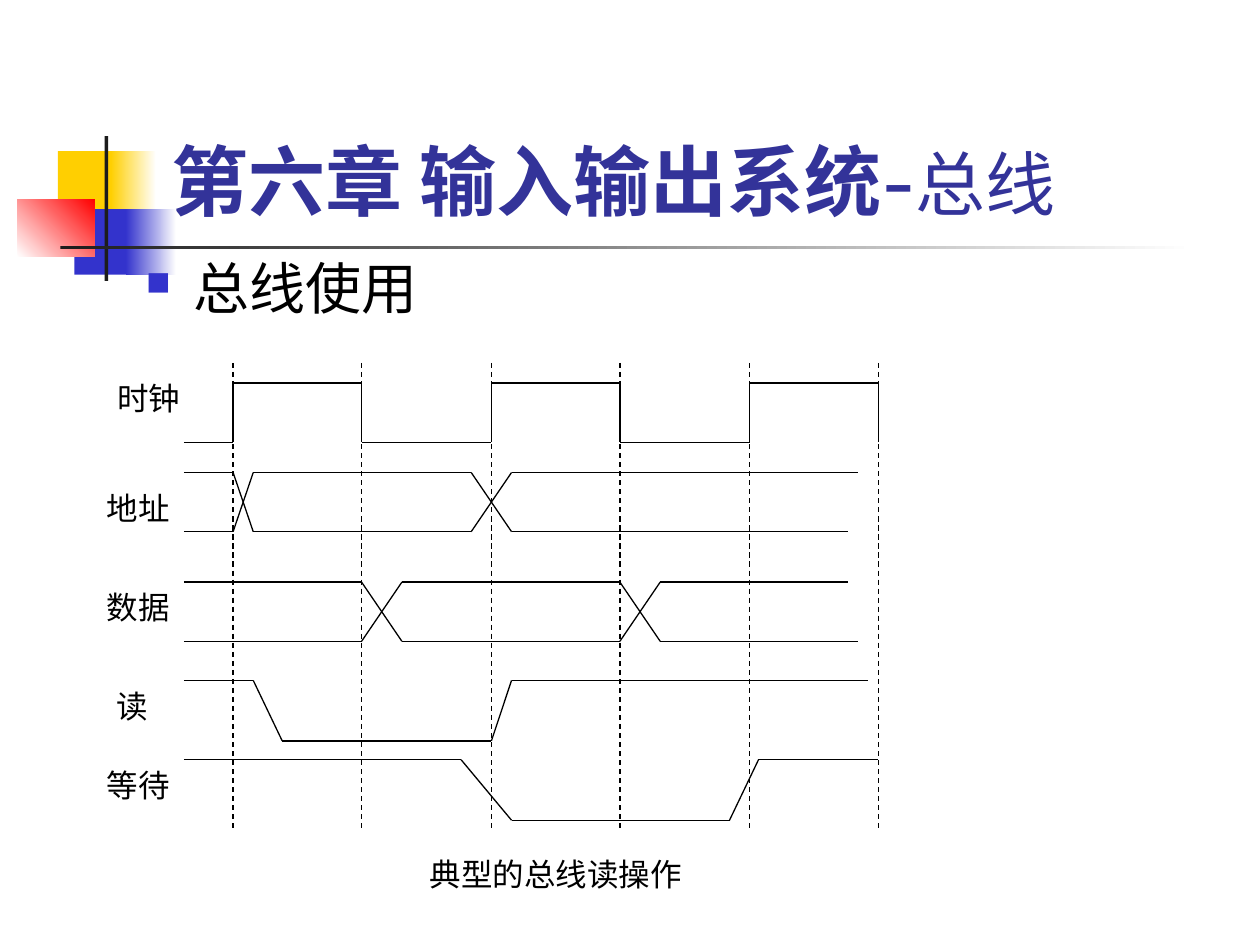
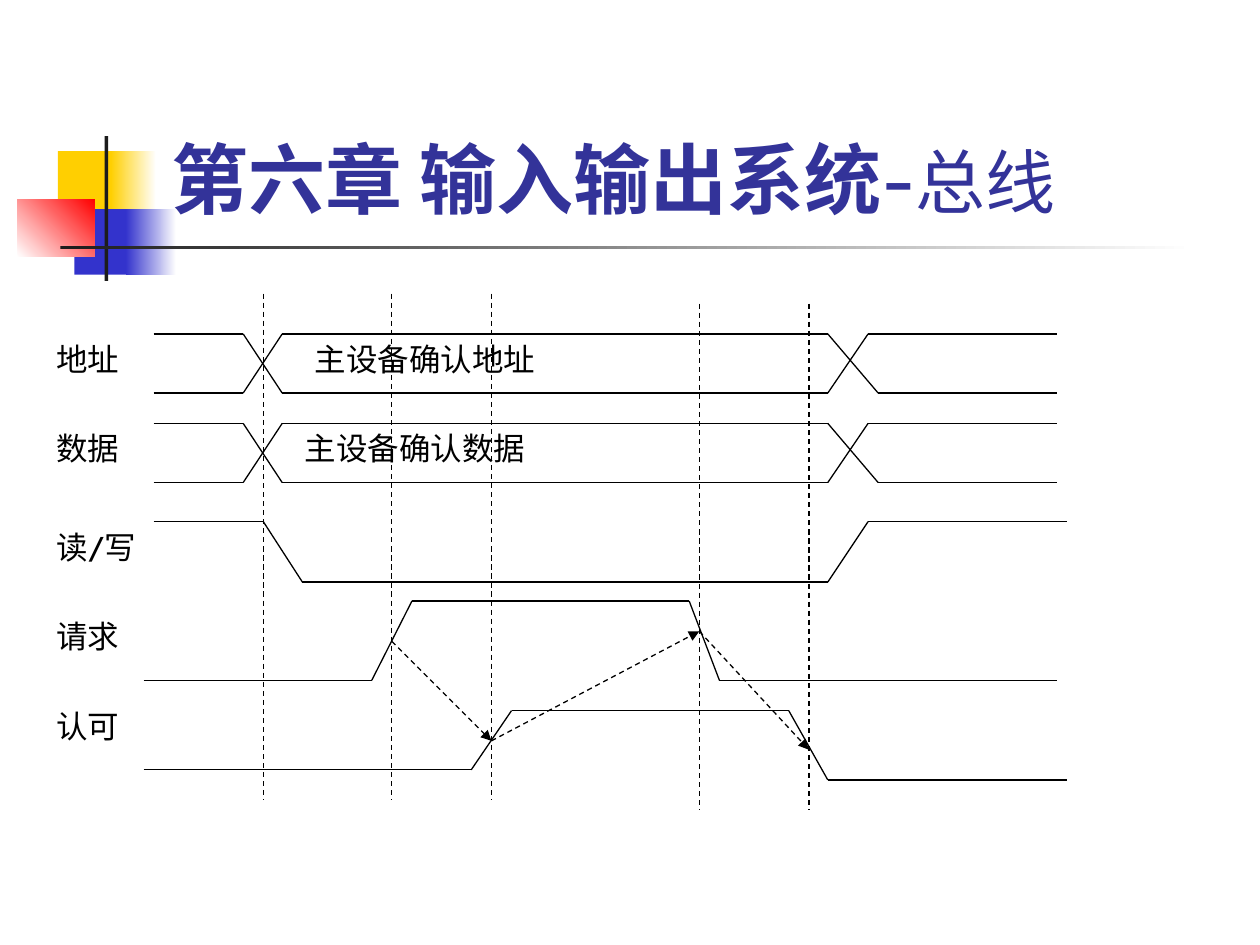
from dataclasses import dataclass
from itertools import pairwise
from typing import NamedTuple

from lxml import etree
from pptx import Presentation
from pptx.dml.color import RGBColor
from pptx.enum.dml import MSO_LINE
from pptx.enum.shapes import MSO_CONNECTOR, MSO_SHAPE
from pptx.enum.text import MSO_ANCHOR, MSO_AUTO_SIZE, PP_ALIGN
from pptx.oxml.ns import qn
from pptx.slide import Slide
from pptx.util import Inches, Pt

STRAIGHT = MSO_CONNECTOR.STRAIGHT
RECTANGLE = MSO_SHAPE.RECTANGLE
DASH = MSO_LINE.DASH
BOTTOM, TOP = MSO_ANCHOR.BOTTOM, MSO_ANCHOR.TOP
FIT_SHAPE, NO_FIT = MSO_AUTO_SIZE.SHAPE_TO_FIT_TEXT, MSO_AUTO_SIZE.NONE
LEFT, CENTER, RIGHT = PP_ALIGN.LEFT, PP_ALIGN.CENTER, PP_ALIGN.RIGHT
TITLE_ONLY = 5


@dataclass(frozen=True)
class Theme:
    font: str = "Cabin"
    title: str = "333399"
    ink: str = "000000"
    paper: str = "FFFFFF"
    yellow: str = "FFCF01"
    blue: str = "3333CC"
    red: str = "FF0000"
    rule: str = "1C1C1C"
    title_size: int = 44
    topic_size: int = 40
    body_size: int = 32
    label_size: int = 18
    line_width: float = 0.75


THEME = Theme()


class Box(NamedTuple):
    left: float
    top: float
    width: float
    height: float


class Point(NamedTuple):
    x: float
    y: float


class Band(NamedTuple):
    box: Box
    color: str
    fade_to: str = ""
    angle: int = 0


class Label(NamedTuple):
    text: str
    box: Box
    align: PP_ALIGN = LEFT


class Crossing(NamedTuple):
    start: float
    high_end: float
    low_end: float


class Bus(NamedTuple):
    high: float
    low: float
    start: float
    crossings: tuple[Crossing, ...]
    high_end: float
    low_end: float


BANDS = (
    Band(Box(0.46, 1.2, 0.48, 0.52), THEME.yellow),
    Band(Box(0.88, 1.2, 0.36, 0.52), THEME.yellow, THEME.paper),
    Band(Box(0.59, 1.66, 0.46, 0.52), THEME.blue),
    Band(Box(1, 1.66, 0.4, 0.52), THEME.blue, THEME.paper),
    Band(Box(0.14, 1.58, 0.61, 0.46), THEME.paper, THEME.red, 45),
    Band(Box(0.83, 1.08, 0.03, 1.15), THEME.rule),
    Band(Box(0.48, 1.95, 9, 0.03), THEME.rule, THEME.paper),
)


def inches(values: tuple[float, ...]) -> list[Inches]:
    return [Inches(value) for value in values]


def rgb(color: str) -> RGBColor:
    return RGBColor.from_string(color)


def add_run(paragraph, text: str, size: int, color: str, bold: bool = False) -> None:
    run = paragraph.add_run()
    run.text = text
    run.font.name = THEME.font
    run.font.size = Pt(size)
    run.font.bold = bold
    run.font.color.rgb = rgb(color)


def add_band(slide: Slide, band: Band) -> None:
    block = slide.shapes.add_shape(RECTANGLE, *inches(band.box))
    block.shadow.inherit = False
    block.line.fill.background()
    if band.fade_to:
        block.fill.gradient()
        block.fill.gradient_angle = band.angle
        for stop, color in zip(block.fill.gradient_stops, (band.color, band.fade_to)):
            stop.color.rgb = rgb(color)
    else:
        block.fill.solid()
        block.fill.fore_color.rgb = rgb(band.color)


def add_line(slide: Slide, start: Point, end: Point,
             dashed: bool = False, arrow: bool = False) -> None:
    line = slide.shapes.add_connector(STRAIGHT, *inches((*start, *end)))
    line.line.color.rgb = rgb(THEME.ink)
    line.line.width = Pt(THEME.line_width)
    if dashed:
        line.line.dash_style = DASH
    if arrow:
        etree.SubElement(line.line._get_or_add_ln(), qn("a:tailEnd"), type="triangle")
    etree.SubElement(line._element.spPr, qn("a:effectLst"))


def add_trace(slide: Slide, points: list[Point],
              dashed: bool = False, arrow: bool = False) -> None:
    for start, end in pairwise(points):
        add_line(slide, start, end, dashed, arrow)


def add_bus(slide: Slide, bus: Bus) -> None:
    for is_high in (True, False):
        points = [Point(bus.start, bus.high if is_high else bus.low)]
        for crossing in bus.crossings:
            points.append(Point(crossing.start, points[-1].y))
            is_high = not is_high
            points.append(Point(crossing.high_end, bus.high) if is_high
                          else Point(crossing.low_end, bus.low))
        points.append(Point(bus.high_end if is_high else bus.low_end, points[-1].y))
        add_trace(slide, points)


def add_time_mark(slide: Slide, x: float, top: float, bottom: float) -> None:
    add_line(slide, Point(x, top), Point(x, bottom), dashed=True)


def add_text_frame(slide: Slide, box: Box, auto_size: MSO_AUTO_SIZE):
    frame = slide.shapes.add_textbox(*inches(box)).text_frame
    frame.word_wrap = True
    frame.auto_size = auto_size
    frame.vertical_anchor = TOP
    return frame


def add_label(slide: Slide, label: Label) -> None:
    paragraph = add_text_frame(slide, label.box, FIT_SHAPE).paragraphs[0]
    paragraph.alignment = label.align
    add_run(paragraph, label.text, THEME.label_size, THEME.ink)


def add_bullet(slide: Slide, text: str, box: Box) -> None:
    paragraph = add_text_frame(slide, box, NO_FIT).paragraphs[0]
    paragraph.line_spacing = 0.9
    properties = paragraph._p.get_or_add_pPr()
    properties.set("marL", str(Inches(0.38)))
    properties.set("indent", str(Inches(-0.38)))
    bullet_color = etree.SubElement(properties, qn("a:buClr"))
    etree.SubElement(bullet_color, qn("a:srgbClr"), val=THEME.blue)
    etree.SubElement(properties, qn("a:buSzPct"), val="60000")
    etree.SubElement(properties, qn("a:buChar"), char="■")
    add_run(paragraph, text, THEME.body_size, THEME.ink)


def add_chapter_slide(deck, title_box: Box) -> Slide:
    slide = deck.slides.add_slide(deck.slide_layouts[TITLE_ONLY])
    for band in BANDS:
        add_band(slide, band)
    heading = slide.shapes.title
    heading.left, heading.top, heading.width, heading.height = inches(title_box)
    frame = heading.text_frame
    frame.word_wrap = True
    frame.auto_size = NO_FIT
    frame.vertical_anchor = BOTTOM
    paragraph = frame.paragraphs[0]
    paragraph.alignment = LEFT
    add_run(paragraph, "第六章 输入输出系统", THEME.title_size, THEME.title, True)
    add_run(paragraph, "-", THEME.title_size, THEME.title)
    add_run(paragraph, "总线", THEME.topic_size, THEME.title)
    return slide


def build_read_timing(deck) -> None:
    slide = add_chapter_slide(deck, Box(1.26, 0.94, 8.52, 0.9))
    add_bullet(slide, "总线使用", Box(1.06, 2.02, 8.5, 0.63))

    start, clock_high, clock_low = 1.46, 3.04, 3.51
    edges = [round(1.85 + 1.024 * step, 2) for step in range(6)]
    clock = [Point(start, clock_low)]
    for step, edge in enumerate(edges):
        add_time_mark(slide, edge, 2.88, 6.59)
        levels = (clock_high, clock_low) if step % 2 else (clock_low, clock_high)
        clock += [Point(edge, level) for level in levels]
    add_trace(slide, clock)

    address = Bus(3.75, 4.22, start,
                  (Crossing(1.85, 2.01, 2.01), Crossing(3.74, 4.06, 4.06)), 6.81, 6.73)
    data = Bus(4.62, 5.09, start,
               (Crossing(2.87, 3.19, 3.19), Crossing(4.92, 5.24, 5.24)), 6.73, 6.81)
    for bus in (address, data):
        add_bus(slide, bus)

    read = [Point(start, 5.4), Point(2.01, 5.4), Point(2.24, 5.88),
            Point(3.9, 5.88), Point(4.06, 5.4), Point(6.89, 5.4)]
    wait = [Point(start, 6.03), Point(3.66, 6.03), Point(4.06, 6.51),
            Point(5.79, 6.51), Point(6.02, 6.03), Point(6.97, 6.03)]
    for signal in (read, wait):
        add_trace(slide, signal)

    for label in (
        Label("时钟", Box(0.43, 2.96, 1.1, 0.4), RIGHT),
        Label("地址", Box(0.75, 3.83, 1.02, 0.4)),
        Label("数据", Box(0.75, 4.62, 1.02, 0.4)),
        Label("读", Box(0.83, 5.4, 0.94, 0.4)),
        Label("等待", Box(0.75, 6.03, 0.94, 0.4)),
        Label("典型的总线读操作", Box(1.77, 6.74, 5.28, 0.4), CENTER),
    ):
        add_label(slide, label)


def build_handshake_timing(deck) -> None:
    slide = add_chapter_slide(deck, Box(1.26, 0.86, 7.49, 0.97))

    crossings = (Crossing(1.93, 2.24, 2.24), Crossing(6.57, 6.89, 6.97))
    for high in (2.65, 3.36):
        add_bus(slide, Bus(high, high + 0.47, 1.22, crossings, 8.39, 8.39))

    read_write = [Point(1.22, 4.14), Point(2.09, 4.14), Point(2.4, 4.62),
                  Point(6.57, 4.62), Point(6.89, 4.14), Point(8.47, 4.14)]
    request = [Point(1.14, 5.4), Point(2.95, 5.4), Point(3.27, 4.77),
               Point(5.47, 4.77), Point(5.71, 5.4), Point(8.39, 5.4)]
    acknowledge = [Point(1.14, 6.11), Point(3.74, 6.11), Point(4.06, 5.64),
                   Point(6.26, 5.64), Point(6.57, 6.19), Point(8.47, 6.19)]
    for signal in (read_write, request, acknowledge):
        add_trace(slide, signal)

    for top, marks in ((2.33, (2.09, 3.11, 3.9)), (2.41, (5.55, 6.42))):
        for mark in marks:
            add_time_mark(slide, mark, top, top + 4.02)

    handshake = [Point(3.11, 5.09), Point(3.9, 5.88), Point(5.55, 5.01), Point(6.42, 5.95)]
    add_trace(slide, handshake, dashed=True, arrow=True)

    for label in (
        Label("地址", Box(0.35, 2.65, 0.94, 0.4)),
        Label("数据", Box(0.35, 3.36, 1.1, 0.4)),
        Label("读/写", Box(0.35, 4.14, 1.18, 0.4)),
        Label("请求", Box(0.35, 4.85, 1.1, 0.4)),
        Label("认可", Box(0.35, 5.56, 1.1, 0.4)),
        Label("主设备确认地址", Box(2.4, 2.65, 3.15, 0.4)),
        Label("主设备确认数据", Box(2.32, 3.36, 3.15, 0.4)),
    ):
        add_label(slide, label)


def main() -> None:
    deck = Presentation()
    deck.slide_width, deck.slide_height = Inches(10), Inches(7.5)
    build_read_timing(deck)
    build_handshake_timing(deck)
    deck.save("out.pptx")


if __name__ == "__main__":
    main()
